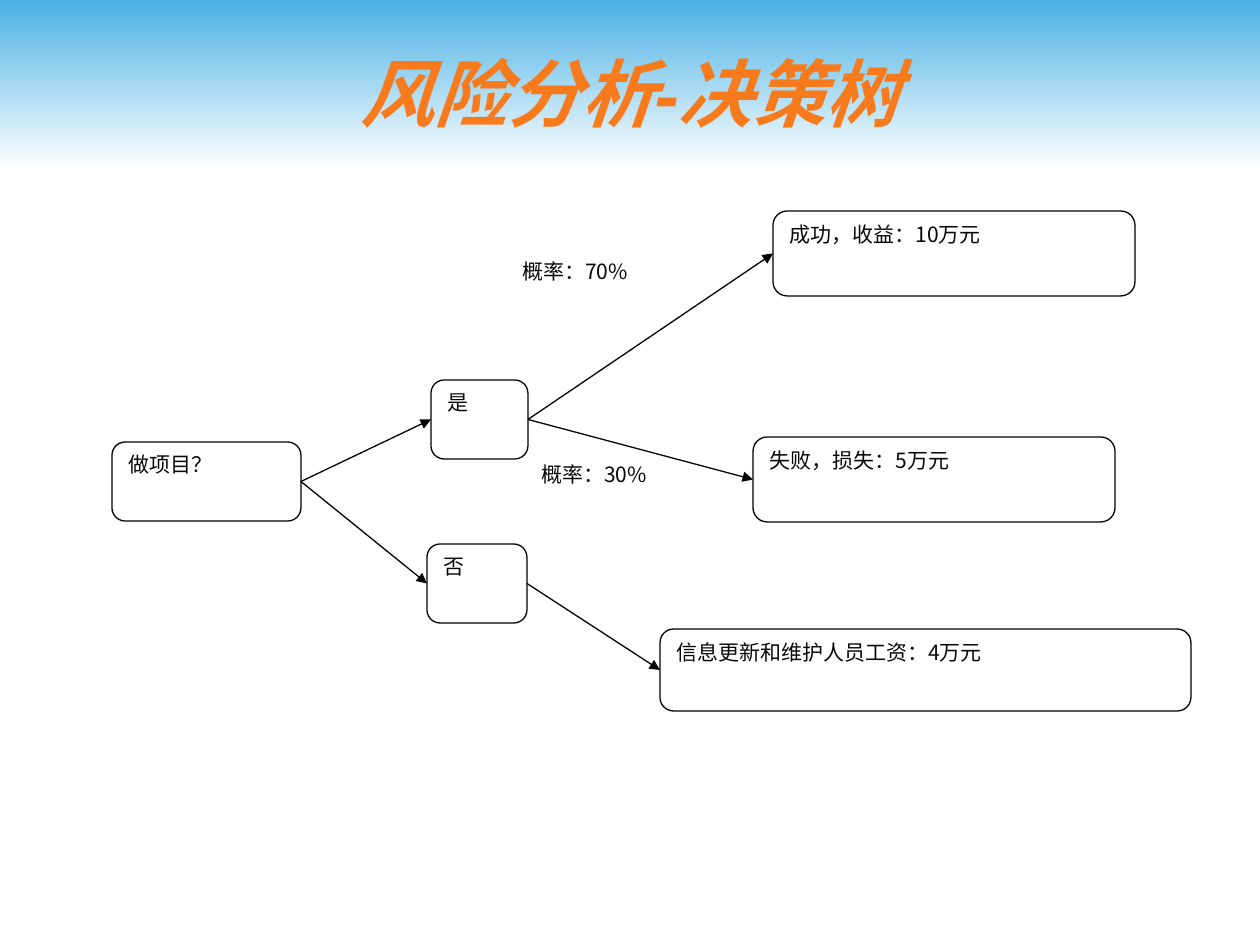
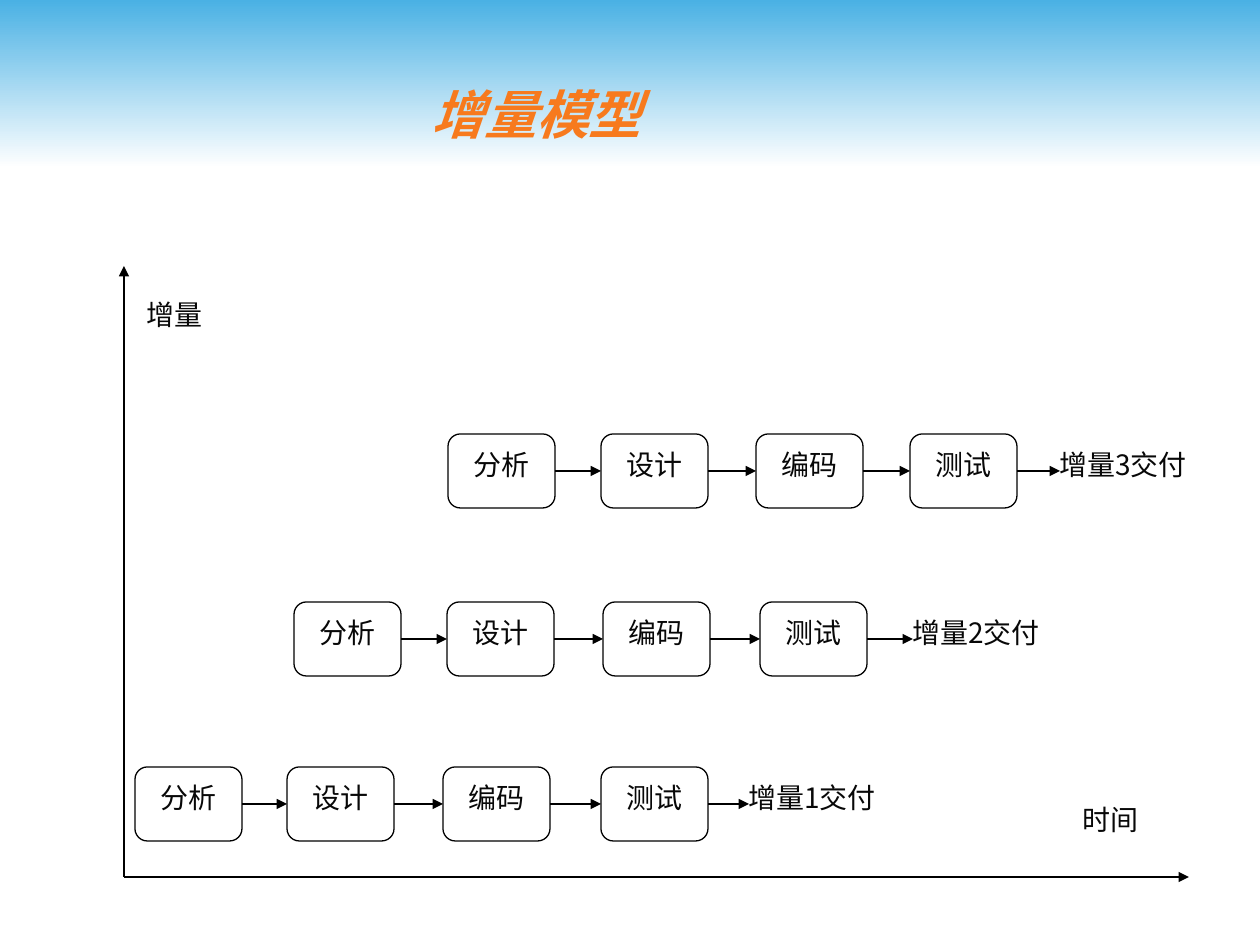
from dataclasses import dataclass

from lxml import etree
from pptx import Presentation
from pptx import util as u
from pptx.dml.color import RGBColor
from pptx.enum import shapes, text
from pptx.oxml.ns import qn

PX = 914400 / 126
LEFT_SITE, RIGHT_SITE = 1, 3


@dataclass(frozen=True)
class Theme:
    sky: str = "4AB1E4"
    paper: str = "FFFFFF"
    title: str = "F77A1D"
    ink: str = "080808"
    line: str = "000000"
    title_font: str = "Arial"
    body_font: str = "Noto Sans CJK SC"
    tree_size: int = 12
    model_size: int = 16
    line_width: float = 0.75


THEME = Theme()
SLIDE_SIZE = (1260, 945)
BAND = (0, 0, 1260, 168)

# Decision tree: boxes are left, top, width, height
TREE_TITLE = ("风险分析-决策树", (63, 32, 1134, 120), 42)
TREE_NODES = {
    "做项目？": (112, 442, 189, 79),
    "是": (431, 380, 97, 79),
    "否": (427, 544, 100, 79),
    "成功，收益：10万元": (773, 211, 362, 85),
    "失败，损失：5万元": (753, 437, 362, 85),
    "信息更新和维护人员工资：4万元": (660, 629, 531, 82),
}
TREE_BRANCHES = [
    ("做项目？", "是"),
    ("做项目？", "否"),
    ("是", "成功，收益：10万元"),
    ("是", "失败，损失：5万元"),
    ("否", "信息更新和维护人员工资：4万元"),
]
PROBABILITIES = [
    ("概率：70%", (510, 252, 239, 64)),
    ("概率：30%", (529, 455, 239, 64)),
]

# Incremental model
MODEL_TITLE = ("增量模型", (105, 35, 863, 158), 30)
STEPS = ["分析", "设计", "编码", "测试"]
STEP_SIZE = (107, 74)
DELIVERY_SIZE = (179, 74)
DELIVERY_INSET = 13
INCREMENTS = [  # delivery, top, left of each step, left of the delivery
    ("增量1交付", 767, (135, 287, 443, 601), 736),
    ("增量2交付", 602, (294, 447, 603, 760), 900),
    ("增量3交付", 434, (448, 601, 756, 910), 1047),
]
AXIS_LABELS = [
    ("增量", (134, 266, 108, 110)),
    ("时间", (1070, 790, 100, 72)),
]
ORIGIN = (124, 877)
AXIS_ENDS = [(124, 266), (1189, 877)]


def emu(lengths):
    return [round(length * PX) for length in lengths]


def color(name):
    return RGBColor.from_string(getattr(THEME, name))


def write(shape, words, size, font_name, ink, align=None):
    """Put one paragraph into a shape and format its run."""
    frame = shape.text_frame
    frame.text = words
    frame.word_wrap = True
    frame.auto_size = text.MSO_AUTO_SIZE.NONE
    paragraph = frame.paragraphs[0]
    paragraph.alignment = align
    run = paragraph.runs[0]
    run.font.size = u.Pt(size)
    run.font.name = font_name
    run.font.color.rgb = color(ink)
    east_asian = etree.SubElement(run.font._element, qn("a:ea"))
    east_asian.set("typeface", THEME.body_font)
    return paragraph


def add_box(slide, box, kind=shapes.MSO_SHAPE.ROUNDED_RECTANGLE, outline="line"):
    shape = slide.shapes.add_shape(kind, *emu(box))
    shape.shadow.inherit = False
    shape.fill.solid()
    shape.fill.fore_color.rgb = color("paper")
    shape.line.color.rgb = color(outline)
    shape.line.width = u.Pt(THEME.line_width)
    return shape


def add_tree_node(slide, words, box):
    node = add_box(slide, box)
    write(node, words, THEME.tree_size, THEME.body_font, "ink",
          text.PP_ALIGN.LEFT)
    node.text_frame.vertical_anchor = text.MSO_ANCHOR.TOP
    return node


def write_model_text(shape, words, align):
    paragraph = write(shape, words, THEME.model_size, THEME.body_font, "ink", align)
    paragraph.line_spacing = u.Pt(12)
    shape.text_frame.vertical_anchor = text.MSO_ANCHOR.MIDDLE


def add_model_label(slide, words, box):
    label = add_box(slide, box, shapes.MSO_SHAPE.RECTANGLE, "paper")
    write_model_text(label, words, text.PP_ALIGN.JUSTIFY)


def add_arrow(slide, start=(0, 0), end=(0, 0), source=None, target=None):
    """Draw an arrow between points; a given shape replaces its point."""
    arrow = slide.shapes.add_connector(
        shapes.MSO_CONNECTOR.STRAIGHT, *emu(start + end))
    if source is not None:
        arrow.begin_connect(source, RIGHT_SITE)
    if target is not None:
        arrow.end_connect(target, LEFT_SITE)
    arrow.line.color.rgb = color("line")
    arrow.line.width = u.Pt(THEME.line_width)
    etree.SubElement(arrow.line._get_or_add_ln(), qn("a:tailEnd"), type="triangle")
    etree.SubElement(arrow.element.spPr, qn("a:effectLst"))


def add_band(slide):
    """Place the shared gradient band on the layout behind its slides."""
    band = add_box(slide, BAND, shapes.MSO_SHAPE.RECTANGLE)
    band.line.fill.background()
    band.fill.gradient()
    band.fill.gradient_angle = 270
    for stop, name in zip(band.fill.gradient_stops, ("sky", "paper")):
        stop.color.rgb = color(name)
    slide.slide_layout.shapes.element.insert(2, band.element)


def add_titled_slide(deck, words, box, size):
    slide = deck.slides.add_slide(deck.slide_layouts[5])
    title = slide.shapes.title
    title.left, title.top, title.width, title.height = emu(box)
    paragraph = write(title, words, size, THEME.title_font, "title",
                      text.PP_ALIGN.CENTER)
    paragraph.runs[0].font.bold = True
    paragraph.runs[0].font.italic = True
    title.text_frame.vertical_anchor = text.MSO_ANCHOR.MIDDLE
    return slide


def build_decision_tree(slide):
    nodes = {words: add_tree_node(slide, words, box)
             for words, box in TREE_NODES.items()}
    for parent, child in TREE_BRANCHES:
        add_arrow(slide, source=nodes[parent], target=nodes[child])
    for words, box in PROBABILITIES:
        probability = slide.shapes.add_textbox(*emu(box))
        write(probability, words, THEME.tree_size, THEME.body_font, "ink")


def build_incremental_model(slide):
    for words, box in AXIS_LABELS:
        add_model_label(slide, words, box)
    for end in AXIS_ENDS:
        add_arrow(slide, ORIGIN, end)
    for delivery, top, step_lefts, delivery_left in INCREMENTS:
        add_model_label(slide, delivery, (delivery_left, top) + DELIVERY_SIZE)
        steps = []
        for words, left in zip(STEPS, step_lefts):
            step = add_box(slide, (left, top) + STEP_SIZE)
            write_model_text(step, words, text.PP_ALIGN.CENTER)
            steps.append(step)
        for source, target in zip(steps, steps[1:]):
            add_arrow(slide, source=source, target=target)
        middle = top + STEP_SIZE[1] // 2
        add_arrow(slide, (step_lefts[-1] + STEP_SIZE[0], middle),
                  (delivery_left + DELIVERY_INSET, middle), source=steps[-1])


def main():
    deck = Presentation()
    deck.slide_width, deck.slide_height = emu(SLIDE_SIZE)
    tree = add_titled_slide(deck, *TREE_TITLE)
    add_band(tree)
    build_decision_tree(tree)
    build_incremental_model(add_titled_slide(deck, *MODEL_TITLE))
    deck.save("out.pptx")


if __name__ == "__main__":
    main()
